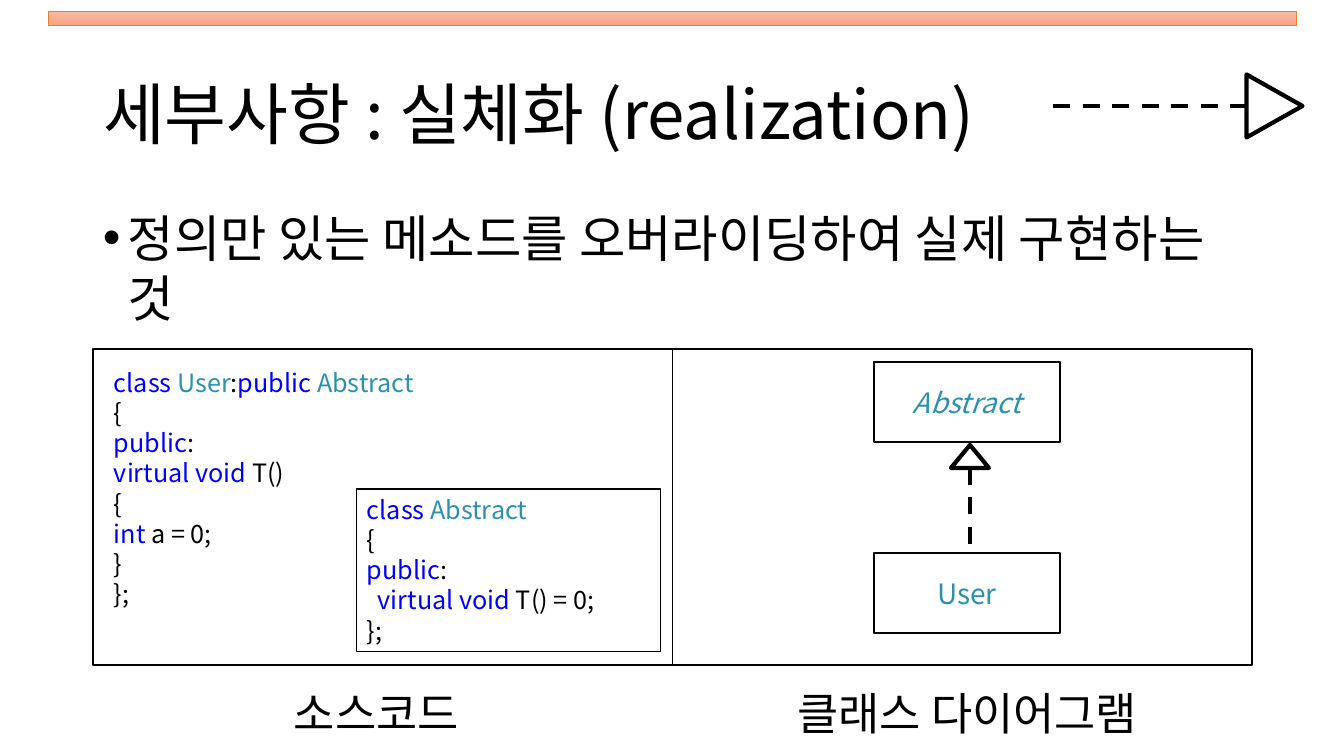
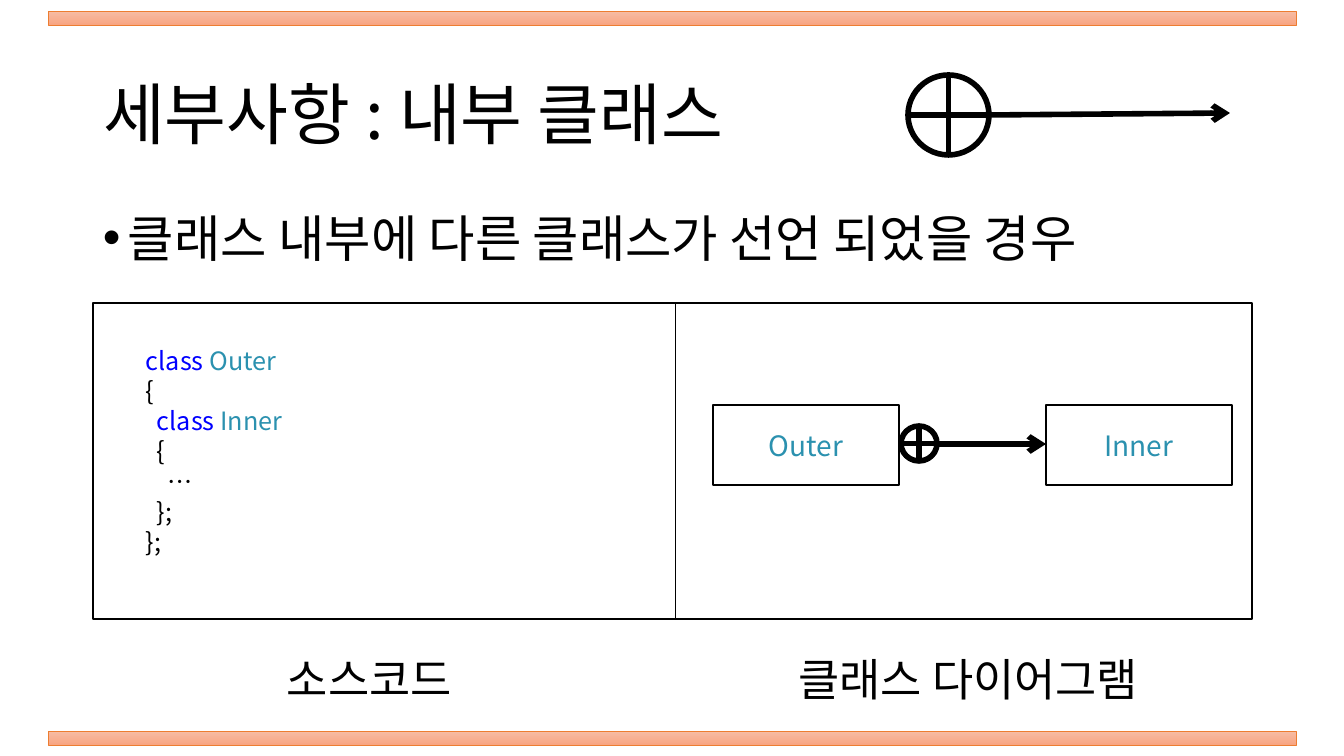
from dataclasses import dataclass
from lxml import etree
from pptx import Presentation
from pptx.dml.color import RGBColor as RGB
from pptx.enum.dml import MSO_LINE as Dash
from pptx.enum.shapes import MSO_CONNECTOR as Conn, MSO_SHAPE as Form
from pptx.enum.text import MSO_ANCHOR as Anchor, MSO_AUTO_SIZE as Fit, PP_ALIGN as Align
from pptx.oxml.ns import qn
from pptx.util import Pt


@dataclass(frozen=True)
class Theme:
    font: str = "Noto Sans CJK KR"
    ink: str = "000000"
    paper: str = "FFFFFF"
    key: str = "0000FF"
    kind: str = "2B91AF"
    edge: str = "ED7D31"
    fade: tuple = ("F7BDA5", "F8A582")
    title: int = 48
    body: int = 36
    label: int = 32
    node: int = 20
    code: int = 18
    lead: float = 1.2


T = Theme()
INK, KEY, KIND = T.ink, T.key, T.kind

# Content: a code line is an indent level, then (colour, text) runs
USER = [
    (0, (KEY, "class "), (KIND, "User"), (INK, ":"), (KEY, "public "), (KIND, "Abstract")),
    (0, (INK, "{")),
    (0, (KEY, "public"), (INK, ":")),
    (0, (KEY, "virtual void"), (INK, " T()")),
    (0, (INK, "{")),
    (0, (KEY, "int"), (INK, " a = 0;")),
    (0, (INK, "}")),
    (0, (INK, "};")),
]
BASE = [
    (0, (KEY, "class "), (KIND, "Abstract")),
    (0, (INK, "{")),
    (0, (KEY, "public"), (INK, ":")),
    (1, (KEY, "virtual void"), (INK, " T() = 0;")),
    (0, (INK, "};")),
]
NEST = [
    (0, (KEY, "class "), (KIND, "Outer")),
    (0, (INK, "{")),
    (1, (KEY, "class "), (KIND, "Inner")),
    (1, (INK, "{")),
    (2, (INK, "…")),
    (1, (INK, "};")),
    (0, (INK, "};")),
]
LABELS = ("소스코드", "클래스 다이어그램")

# Boxes are left, top, width, height; lines are x1, y1, x2, y2
SLIDES = [
    dict(
        title="세부사항 : 실체화 (realization)",
        body="정의만 있는 메소드를 오버라이딩하여 실제 구현하는 것",
        bars=[11], top=349, split=672, low=681, labels=(172, 763),
        code=[(USER, (104, 362, 373, 254), False), (BASE, (357, 489, 304, 163), True)],
        nodes=[("Abstract", 874, 362, True), ("User", 874, 553, False)],
        marks=[(Form.ISOSCELES_TRIANGLE, (1243, 78, 63, 56), 90, 3),
               (Form.ISOSCELES_TRIANGLE, (951, 445, 38, 23), 0, 3)],
        lines=[((1247, 106, 1041, 106), 3, True), ((970, 468, 970, 553), 3, True)],
    ),
    dict(
        title="세부사항 : 내부 클래스",
        body="클래스 내부에 다른 클래스가 선언 되었을 경우",
        bars=[11, 731], top=303, split=675, low=647, labels=(165, 764),
        code=[(NEST, (136, 340, 421, 224), False)],
        nodes=[("Outer", 713, 405, False), ("Inner", 1046, 405, False)],
        marks=[(Form.FLOWCHART_OR, (908, 75, 81, 80), 0, 4),
               (Form.FLOWCHART_OR, (901, 426, 36, 35), 0, 4)],
        lines=[((989, 115, 1230, 113), 4, False), ((937, 444, 1046, 444), 4, False)],
    ),
]

# Shared geometry
SCALE = 914400 / 100.8
WIDE, HIGH = 1344, 756
LEFT, SPAN, TALL = 93, 1159, 316
STEP, HANG = 11, 25


def px(n):
    return round(n * SCALE)


def box(vals):
    return [px(v) for v in vals]


# Text
def style(para, size, color=None, slant=False):
    para.line_spacing = Pt(round(size * T.lead, 1))
    para.space_before = Pt(0)
    for run in para.runs:
        font = run.font
        font.name, font.size = T.font, Pt(size)
        if slant:
            font.italic = True
        if color:
            font.color.rgb = RGB.from_string(color)
        face = etree.SubElement(font._element, qn("a:ea"))
        face.set("typeface", T.font)


def fill_text(frame, text, size, color=INK, align=Align.LEFT, slant=False):
    frame.word_wrap = True
    frame.auto_size = Fit.NONE
    frame.text = text
    para = frame.paragraphs[0]
    para.alignment = align
    style(para, size, color, slant)
    return para


def add_text(slide, place, text, size, align=Align.LEFT):
    frame = slide.shapes.add_textbox(*box(place)).text_frame
    return fill_text(frame, text, size, align=align)


def add_code(slide, rows, place, framed):
    shape = slide.shapes.add_textbox(*box(place))
    if framed:
        shape.line.color.rgb = RGB.from_string(INK)
        shape.line.width = Pt(0.75)
    frame = shape.text_frame
    frame.word_wrap = True
    for i, (level, *runs) in enumerate(rows):
        para = frame.paragraphs[0] if i == 0 else frame.add_paragraph()
        for color, text in runs:
            run = para.add_run()
            run.text = text
            run.font.color.rgb = RGB.from_string(color)
        style(para, T.code)
        if level:
            para._p.get_or_add_pPr().set("marL", str(px(level * STEP)))


# Shapes and lines
def add_form(slide, form, place, width=1, fill=None, edge=INK):
    shape = slide.shapes.add_shape(form, *box(place))
    shape.shadow.inherit = False
    shape.line.color.rgb = RGB.from_string(edge)
    shape.line.width = Pt(width)
    if fill:
        shape.fill.solid()
        shape.fill.fore_color.rgb = RGB.from_string(fill)
    else:
        shape.fill.background()
    return shape


def add_bar(slide, top):
    bar = add_form(slide, Form.RECTANGLE, (48, top, 1248, 14), 0.5, edge=T.edge)
    bar.fill.gradient()
    bar.fill.gradient_angle = 270
    for stop, color in zip(bar.fill.gradient_stops, T.fade):
        stop.color.rgb = RGB.from_string(color)


def add_line(slide, ends, width, dash=False, arrow=False):
    link = slide.shapes.add_connector(Conn.STRAIGHT, *box(ends))
    link.line.color.rgb = RGB.from_string(INK)
    link.line.width = Pt(width)
    if dash:
        link.line.dash_style = Dash.DASH
    if arrow:
        tail = etree.SubElement(link.line._get_or_add_ln(), qn("a:tailEnd"))
        tail.set("type", "arrow")
    etree.SubElement(link._element.spPr, qn("a:effectLst"))


def add_node(slide, name, x, y, slant):
    node = add_form(slide, Form.RECTANGLE, (x, y, 186, 80), fill=T.paper)
    node.text_frame.vertical_anchor = Anchor.MIDDLE
    fill_text(node.text_frame, name, T.node, KIND, Align.CENTER, slant)


def add_head(slide, title, body):
    head = slide.shapes.title
    head.left, head.top, head.width, head.height = box((LEFT, 40, SPAN, 146))
    head.text_frame.vertical_anchor = Anchor.MIDDLE
    fill_text(head.text_frame, title, T.title)
    para = add_text(slide, (LEFT, 202, SPAN, 480), body, T.body)
    props = para._p.get_or_add_pPr()
    props.set("marL", str(px(HANG)))
    props.set("indent", str(-px(HANG)))
    etree.SubElement(props, qn("a:buFont")).set("typeface", "Arial")
    etree.SubElement(props, qn("a:buChar")).set("char", "•")


# Build the slides
deck = Presentation()
deck.slide_width, deck.slide_height = px(WIDE), px(HIGH)
for page in SLIDES:
    slide = deck.slides.add_slide(deck.slide_layouts[5])
    add_head(slide, page["title"], page["body"])
    for top in page["bars"]:
        add_bar(slide, top)

    # Two-part panel and its labels
    top, split = page["top"], page["split"]
    add_form(slide, Form.RECTANGLE, (LEFT, top, SPAN, TALL), fill=T.paper)
    add_line(slide, (split, top, split, top + TALL), 0.5)
    for x, text in zip(page["labels"], LABELS):
        add_text(slide, (x, page["low"], 409, 64), text, T.label, Align.CENTER)

    # Code, class boxes and relation symbols
    for rows, place, framed in page["code"]:
        add_code(slide, rows, place, framed)
    for node in page["nodes"]:
        add_node(slide, *node)
    for form, place, turn, width in page["marks"]:
        add_form(slide, form, place, width).rotation = turn
    for ends, width, dash in page["lines"]:
        add_line(slide, ends, width, dash, arrow=not dash)

deck.save("out.pptx")
